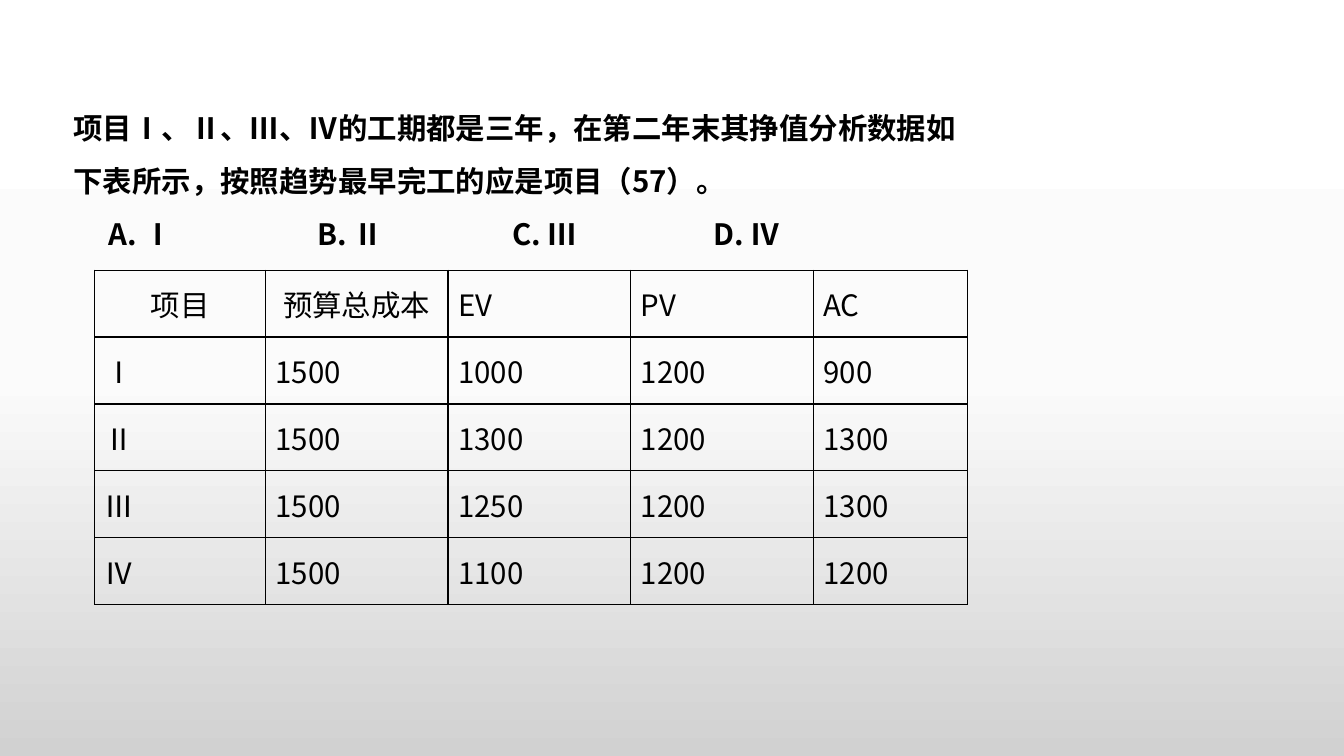
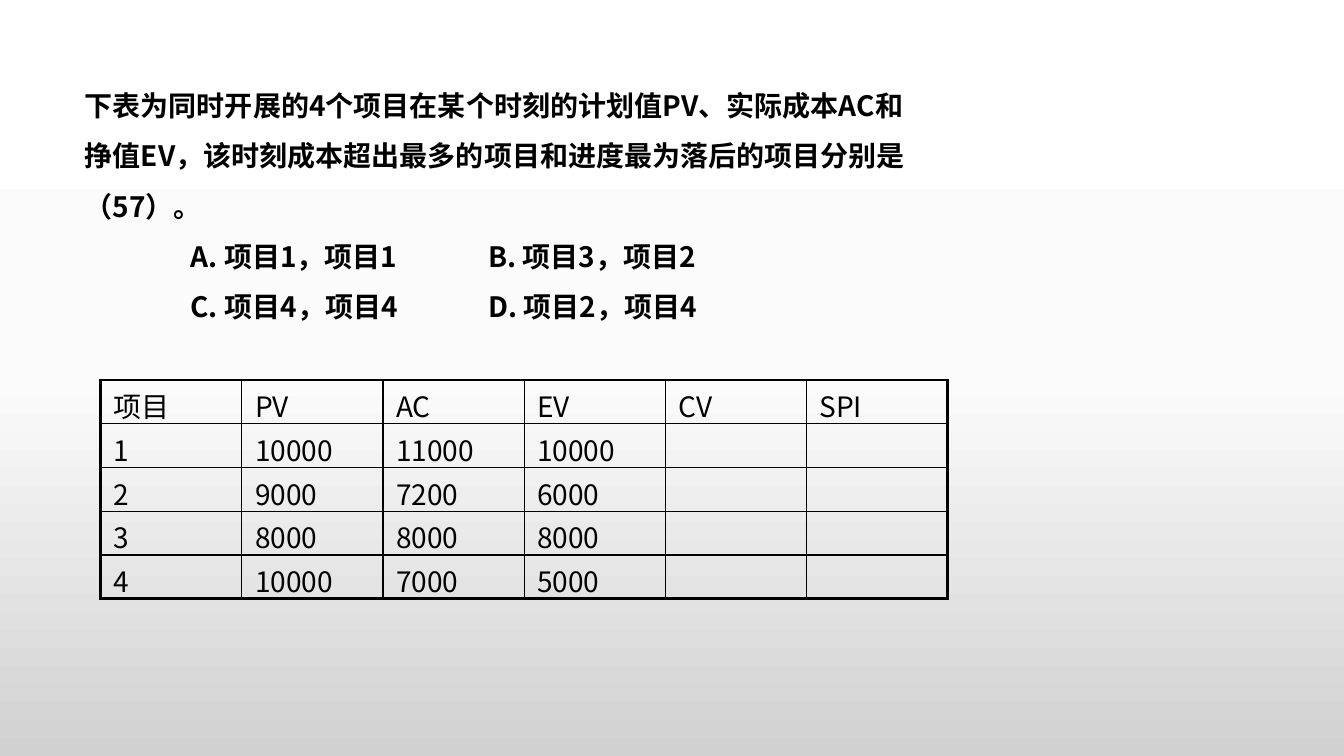
from copy import deepcopy

from lxml.etree import SubElement
from pptx import Presentation
from pptx.dml.color import RGBColor as Rgb
from pptx.enum.text import MSO_ANCHOR as Anchor, MSO_AUTO_SIZE as AutoSize, PP_ALIGN as Align
from pptx.oxml.ns import qn
from pptx.util import Inches, Pt

COLOURS = {"ink": "000000", "top": "FFFFFF", "middle": "FBFBFB", "bottom": "D1D1D1"}
FONT = "Noto Sans CJK SC"
WIDTH, HEIGHT = Inches(13.33), Inches(7.5)
THIN, THICK = Pt(1), Pt(2.25)


def apply_format(target, values):
    for name, value in values.items():
        setattr(target, name, value)


def place(left, top, width, height):
    return [int(share * side / 100) for share, side in
            zip((left, top, width, height), (WIDTH, HEIGHT, WIDTH, HEIGHT))]


def paint_background(master):
    fill = master.background.fill
    fill.gradient()
    fill.gradient_angle = 270
    stop_list = master.element.find(".//" + qn("a:gsLst"))
    stop_list.append(deepcopy(stop_list[0]))
    for stop, (name, position) in zip(
            fill.gradient_stops, (("top", 0), ("middle", 0.5), ("bottom", 1))):
        stop.color.rgb = Rgb.from_string(COLOURS[name])
        stop.position = position


def write(para, text, size, bold=False):
    span = para.add_run()
    span.text = text
    apply_format(span.font, {"size": Pt(size), "bold": bold, "name": FONT})
    span.font.color.rgb = Rgb.from_string(COLOURS["ink"])
    SubElement(span.font._element, qn("a:ea"), typeface=FONT)


def add_question(page, box, question, option_rows, tab_stops, size):
    frame = page.shapes.add_textbox(*box).text_frame
    apply_format(frame, {
        "word_wrap": True, "auto_size": AutoSize.SHAPE_TO_FIT_TEXT,
        "margin_left": Inches(0.11), "margin_right": Inches(0.11),
        "margin_top": Inches(0.06), "margin_bottom": Inches(0.06)})
    para = frame.paragraphs[0]
    para.line_spacing = 1.5
    para._p.get_or_add_pPr().set("marL", str(Inches(0.1)))
    write(para, question, size, True)
    for options in option_rows:
        para = frame.add_paragraph()
        para.line_spacing = 1.5
        tabs = SubElement(para._p.get_or_add_pPr(), qn("a:tabLst"))
        for stop in tab_stops:
            SubElement(tabs, qn("a:tab"), pos=str(Inches(stop)), algn="l")
        write(para, "".join("\t" + option for option in options), size, True)


def draw_borders(cell, widths):
    properties = cell._tc.get_or_add_tcPr()
    for side, width in zip("LRTB", widths):
        line = SubElement(properties, qn("a:ln" + side), w=str(width))
        paint = SubElement(line, qn("a:solidFill"))
        SubElement(paint, qn("a:srgbClr"), val=COLOURS["ink"])


def add_data_table(page, box, rows, weights, size, rim, margins, align, centred=0, space=0):
    last_row, last_column = len(rows) - 1, len(weights) - 1
    table = page.shapes.add_table(len(rows), len(weights), *box).table
    apply_format(table, {"first_row": False, "horz_banding": False})
    for column, weight in zip(table.columns, weights):
        column.width = int(box[2] * weight / sum(weights))
    side, edge = (Inches(margin) for margin in margins)
    for r, texts in enumerate(rows):
        for c, text in enumerate(texts):
            cell = table.cell(r, c)
            apply_format(cell, {
                "vertical_anchor": Anchor.MIDDLE, "margin_left": side,
                "margin_right": side, "margin_top": edge, "margin_bottom": edge})
            outer = (c == 0, c == last_column, r == 0, r == last_row)
            draw_borders(cell, [rim if is_outer else THIN for is_outer in outer])
            cell.fill.background()
            if text:
                para = cell.text_frame.paragraphs[0]
                para.alignment = Align.CENTER if r == 0 and c < centred else align
                para.space_before = Pt(space)
                write(para, text, size)


def add_finish_slide(page):
    add_question(
        page, place(3.9, 11.47, 69.69, 22.8),
        "项目Ⅰ、Ⅱ、Ⅲ、Ⅳ的工期都是三年，在第二年末其挣值分析数据如下表所示，按照趋势最早完工的应是项目（57）。",
        [("A. Ⅰ", "B. Ⅱ", "C. Ⅲ", "D. Ⅳ")], (0.45, 2.52, 4.45, 6.45), 21)
    rows = [
        ("项目", "预算总成本", "EV", "PV", "AC"),
        ("Ⅰ", "1500", "1000", "1200", "900"),
        ("Ⅱ", "1500", "1300", "1200", "1300"),
        ("Ⅲ", "1500", "1250", "1200", "1300"),
        ("Ⅳ", "1500", "1100", "1200", "1200")]
    add_data_table(page, place(7.05, 35.73, 64.97, 44.27), rows,
                   (169, 181, 181, 181, 153), 21, THIN, (0.1, 0), Align.JUSTIFY, centred=2)


def add_variance_slide(page):
    add_question(
        page, place(4.73, 8.67, 63.77, 35.2),
        "下表为同时开展的4个项目在某个时刻的计划值PV、实际成本AC和挣值EV，该时刻成本超出最多的项目和进度最为落后的项目分别是（57）。",
        [("A. 项目1，项目1", "B. 项目3，项目2"), ("C. 项目4，项目4", "D. 项目2，项目4")],
        (1.15, 4.1), 20)
    rows = [
        ("项目", "PV", "AC", "EV", "CV", "SPI"),
        ("1", "10000", "11000", "10000", "", ""),
        ("2", "9000", "7200", "6000", "", ""),
        ("3", "8000", "8000", "8000", "", ""),
        ("4", "10000", "7000", "5000", "", "")]
    add_data_table(page, place(7.5, 50.27, 63, 28.93), rows, [1] * 6, 20, THICK,
                   (0.13, 0.05), Align.LEFT, space=4)


def main():
    deck = Presentation()
    apply_format(deck, {"slide_width": WIDTH, "slide_height": HEIGHT})
    paint_background(deck.slide_master)
    for build in (add_finish_slide, add_variance_slide):
        build(deck.slides.add_slide(deck.slide_layouts[6]))
    deck.save("out.pptx")


if __name__ == "__main__":
    main()
